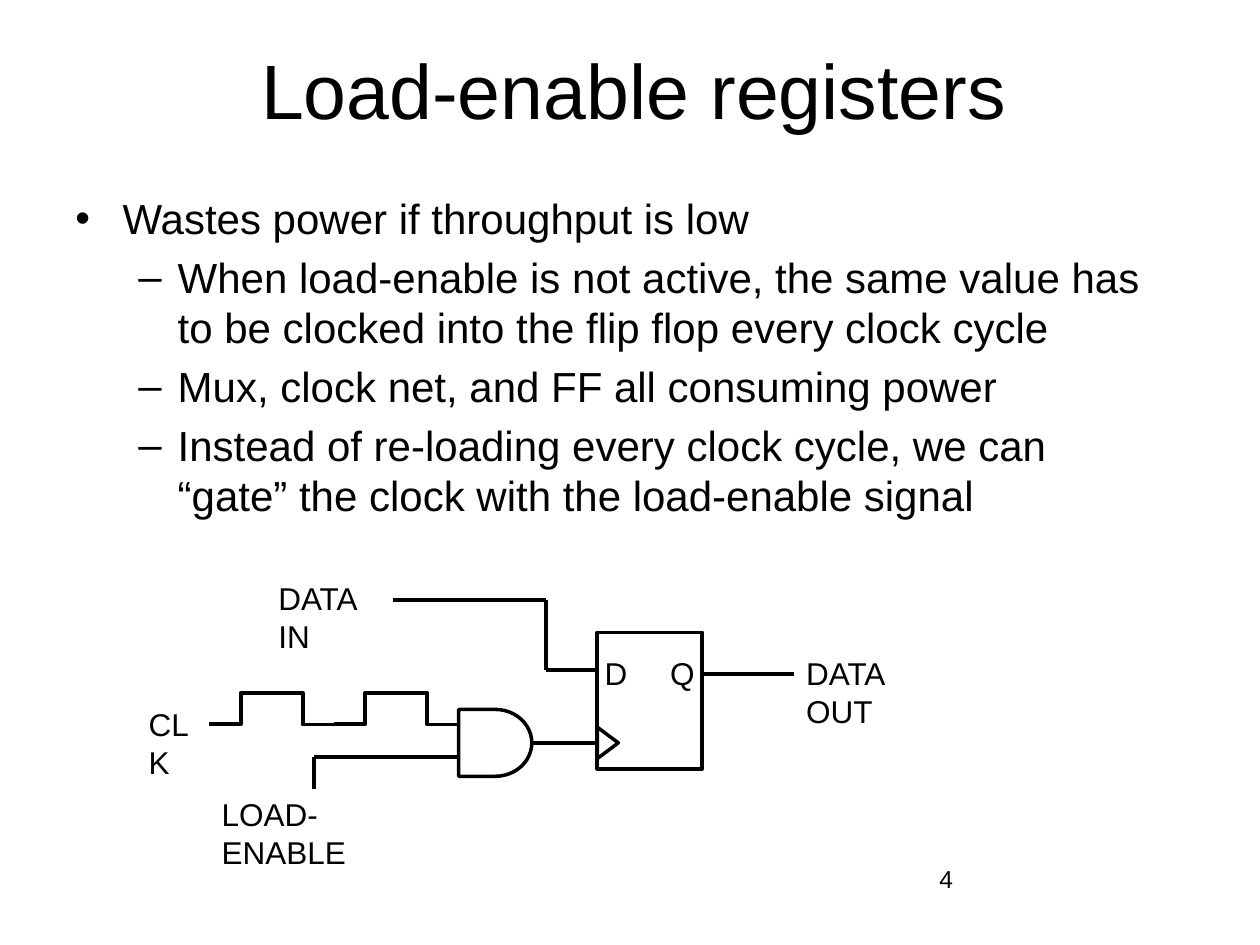
from lxml import etree
from pptx import Presentation
from pptx.dml.color import RGBColor
from pptx.enum import shapes, text
from pptx.oxml import ns
from pptx.util import Pt

COLORS = {"ink": "000000", "paper": "FFFFFF"}
FONT = "Arial"
BULLETS = [
    (0, "Wastes power if throughput is low"),
    (1, "When load-enable is not active, the same value has to be clocked into the flip flop every clock cycle"),
    (1, "Mux, clock net, and FF all consuming power"),
    (1, "Instead of re-loading every clock cycle, we can “gate” the clock with the load-enable signal"),
]
BULLET_STYLES = [("•", 27, -27), ("–", 58.5, -22.5)]
LABELS = [
    ("D", 260.6, 42.5, 26),
    ("Q", 298.1, 42.5, 26.6),
    ("LOAD-ENABLE", 41.8, 123.1, 118),
    ("DATA OUT", 375.8, 42.5, 89.3),
    ("CLK", 0, 72, 41.8),
    ("DATA IN", 74.2, 0, 72.7),
]
WIRES = [
    [(146.9, 15.1), (234, 15.1), (234, 55.4), (263.5, 55.4)],
    [(184.3, 105.1), (101.5, 105.1), (101.5, 123.1)],
    [(323.5, 57.6), (375.8, 57.6)],
]


def color(name):
    """Return the named colour."""
    return RGBColor.from_string(COLORS[name])


def add_run(paragraph, words, size):
    """Add one run of ink-coloured text."""
    run = paragraph.add_run()
    run.text = words
    run.font.name = FONT
    run.font.size = Pt(size)
    run.font.color.rgb = color("ink")


def add_box(parent, left, top, width, height):
    """Add a wrapping text box and return its frame."""
    frame = parent.shapes.add_textbox(Pt(left), Pt(top), Pt(width), Pt(height)).text_frame
    frame.word_wrap = True
    return frame


def add_line_of_text(parent, box, words, size, align=text.PP_ALIGN.LEFT, anchor=text.MSO_ANCHOR.TOP):
    """Add a text box with a single paragraph."""
    frame = add_box(parent, *box)
    frame.vertical_anchor = anchor
    frame.paragraphs[0].alignment = align
    add_run(frame.paragraphs[0], words, size)


def add_bullets(slide, box):
    """Add the two-level bullet list."""
    frame = add_box(slide, *box)
    for index, (level, words) in enumerate(BULLETS):
        paragraph = frame.add_paragraph() if index else frame.paragraphs[0]
        paragraph.level = level
        paragraph.space_before = Pt(4.8)
        mark, margin, indent = BULLET_STYLES[level]
        properties = paragraph._p.get_or_add_pPr()
        properties.set("marL", str(Pt(margin)))
        properties.set("indent", str(Pt(indent)))
        etree.SubElement(properties, ns.qn("a:buFont")).set("typeface", FONT)
        etree.SubElement(properties, ns.qn("a:buChar")).set("char", mark)
        add_run(paragraph, words, 24)


def add_outline(group, kind, left, top, width, height):
    """Add an unfilled, outlined preset shape."""
    shape = group.shapes.add_shape(kind, Pt(left), Pt(top), Pt(width), Pt(height))
    shape.shadow.inherit = False
    shape.fill.background()
    shape.line.color.rgb = color("ink")
    shape.line.width = Pt(2)
    return shape


def add_wire(group, start, end, kind=shapes.MSO_CONNECTOR.STRAIGHT):
    """Add one connector between two points."""
    wire = group.shapes.add_connector(kind, *(Pt(value) for value in (*start, *end)))
    wire.line.color.rgb = color("ink")
    wire.line.width = Pt(2.25)
    etree.SubElement(wire._element.spPr, ns.qn("a:effectLst"))
    return wire


def add_circuit(slide, left, top):
    """Draw the clock-gated register with its origin at the given point."""
    group = slide.shapes.add_group_shape()

    def at(x, y):
        """Shift a point by the circuit's origin."""
        return left + x, top + y

    kinds = shapes.MSO_SHAPE
    add_outline(group, kinds.RECTANGLE, *at(263.5, 33.8), 60, 78)
    clock_mark = add_outline(group, kinds.ISOSCELES_TRIANGLE, *at(260.5, 90.9), 18, 12)
    clock_mark.rotation = 90
    gate = add_outline(group, kinds.FLOWCHART_DELAY, *at(184.3, 77.8), 41.8, 38.2)
    levels = (86.4, 68.4)
    step = 35.6
    for index in range(4):
        x = 41.9 + index * step
        add_wire(group, at(x, levels[index % 2]), at(x + step, levels[(index + 1) % 2]),
                 shapes.MSO_CONNECTOR.ELBOW)
    for points in WIRES:
        for start, end in zip(points, points[1:]):
            add_wire(group, at(*start), at(*end))
    add_wire(group, at(226.1, 96.9), at(263.5, 96.9)).begin_connect(gate, 3)
    for words, x, y, width in LABELS:
        add_line_of_text(group, (*at(x, y), width, 28.8), words, 18)


def main():
    """Build and save the slide."""
    presentation = Presentation()
    presentation.slide_width, presentation.slide_height = Pt(720), Pt(540)
    slide = presentation.slides.add_slide(presentation.slide_layouts[6])
    slide.background.fill.solid()
    slide.background.fill.fore_color.rgb = color("paper")
    add_line_of_text(slide, (53.3, 5.8, 617.8, 90), "Load-enable registers", 44,
                     text.PP_ALIGN.CENTER, text.MSO_ANCHOR.MIDDLE)
    add_bullets(slide, (36, 106.6, 624.2, 385.2))
    add_circuit(slide, 77.8, 327.6)
    add_line_of_text(slide, (437.8, 490.3, 113.8, 37.4), "4", 14, text.PP_ALIGN.RIGHT)
    presentation.save("out.pptx")


if __name__ == "__main__":
    main()
